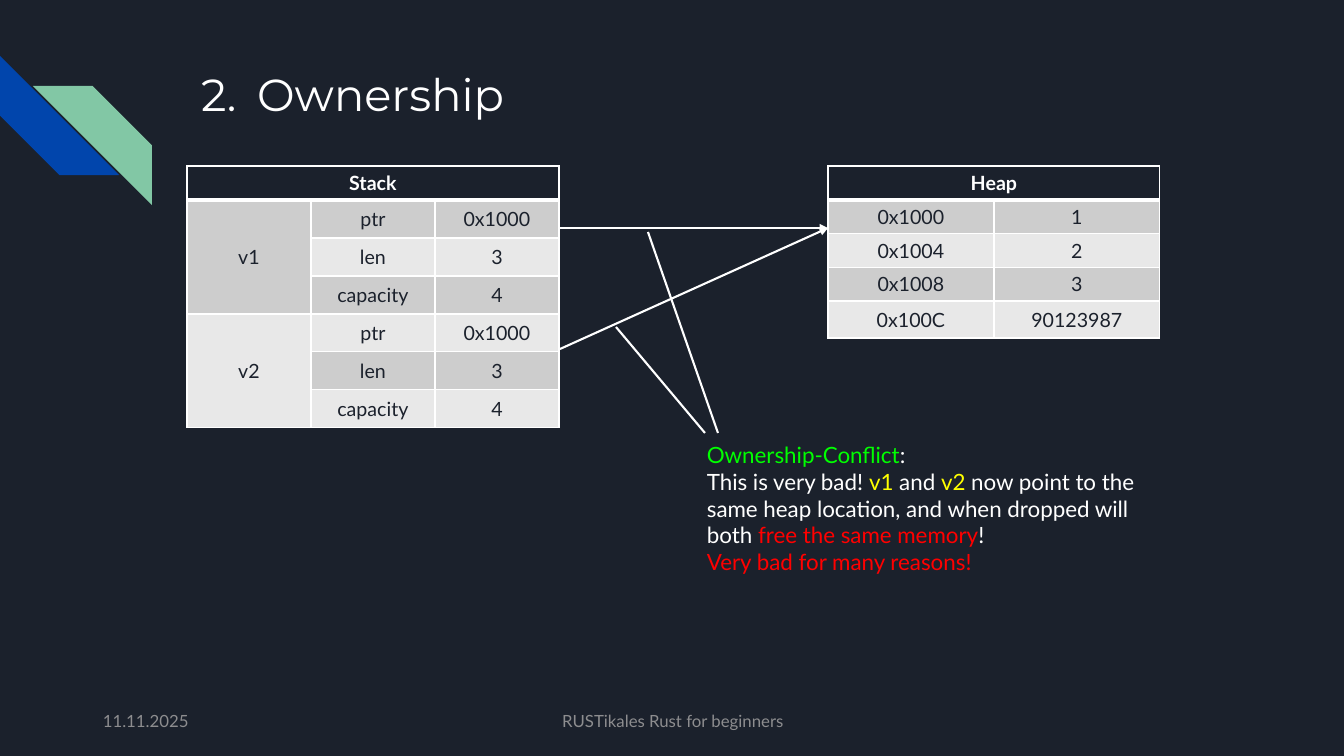
"""Build the Ownership slide with stack and heap tables."""
import pptx
import pptx.util
import pptx.dml.color
import pptx.enum.shapes
import pptx.enum.text
import pptx.oxml
import pptx.oxml.ns

COLORS = {
    "background": "1B212C", "white": "FFFFFF", "blue": "0145AC", "mint": "82C7A5",
    "footer": "8D8D8F", "dark_band": "CDCDCD", "light_band": "E8E8E8",
    "green": "00FF00", "yellow": "FFFF00", "red": "FF0000",
}
STRIPES = [("blue", (0, 56, 119, 119), 270, False), ("mint", (33, 86, 119, 119), 0, True)]
TITLE = "Ownership"
TITLE_BOX = (191, 57, 1034, 134)
FOOTERS = [
    ("11.11.2025", (93, 701, 302, 40), "LEFT"),
    ("RUSTikales Rust for beginners", (446, 701, 454, 40), "CENTER"),
]
FIELDS = [("ptr", "0x1000"), ("len", "3"), ("capacity", "4")]
STACK_ROWS = [
    (name if index == 0 else "", *field)
    for name in ("v1", "v2") for index, field in enumerate(FIELDS)
]
HEAP_ROWS = [("0x1000", "1"), ("0x1004", "2"), ("0x1008", "3"), ("0x100C", "90123987")]
TABLES = [
    {"heading": "Stack", "rows": STACK_ROWS, "left": 187, "column": 124,
     "heights": [34] + [38] * 6, "merges": [(1, 3), (4, 6)]},
    {"heading": "Heap", "rows": HEAP_ROWS, "left": 828, "column": 166,
     "heights": [34, 33, 33, 33, 37], "merges": []},
]
TABLE_TOP = 166
LINES = [
    ((560, 228), (828, 228), True),
    ((560, 349), (828, 228), True),
    ((705, 433), (616, 327), False),
    ((718, 433), (648, 232), False),
]
NOTE_BOX = (697, 436, 461, 146)
NOTE = [
    [("Ownership-Conflict", "green"), (":", "white"), None,
     ("This is very bad! ", "white"), ("v1", "yellow"), (" and ", "white"),
     ("v2", "yellow"),
     (" now point to the same heap location, and when dropped will both ", "white"),
     ("free the same memory", "red"), ("!", "white")],
    [("Very bad for many reasons!", "red")],
]


def px(length):
    return pptx.util.Emu(round(length * 914400 / 100.8))


def place(box):
    return [px(length) for length in box]


def rgb(color):
    return pptx.dml.color.RGBColor.from_string(COLORS[color])


def element(xml):
    return pptx.oxml.parse_xml(xml.replace(">", f" {pptx.oxml.ns.nsdecls('a')}>", 1))


def add_run(paragraph, text, size, color, font="Lato", bold=False):
    run = paragraph.add_run()
    run.text = text
    run.font.size = pptx.util.Pt(size)
    run.font.name = font
    run.font.bold = bold
    run.font.color.rgb = rgb(color)


def add_text_box(slide, box):
    frame = slide.shapes.add_textbox(*place(box)).text_frame
    frame.word_wrap = True
    return frame


def add_stripe(slide, color, box, rotation, flipped):
    shape = slide.shapes.add_shape(
        pptx.enum.shapes.MSO_SHAPE.DIAGONAL_STRIPE, *place(box))
    shape.adjustments[0] = 0.5
    shape.rotation = rotation
    if flipped:
        shape.element.spPr.find(pptx.oxml.ns.qn("a:xfrm")).set("flipH", "1")
    shape.shadow.inherit = False
    shape.fill.solid()
    shape.fill.fore_color.rgb = rgb(color)
    shape.line.fill.background()


def add_title(slide):
    title = slide.shapes.title
    title.left, title.top, title.width, title.height = place(TITLE_BOX)
    frame = title.text_frame
    frame.word_wrap = True
    frame.vertical_anchor = pptx.enum.text.MSO_ANCHOR.TOP
    frame.margin_left = frame.margin_right = pptx.util.Inches(0.1)
    frame.margin_top = frame.margin_bottom = pptx.util.Inches(0.1)
    paragraph = frame.paragraphs[0]
    paragraph.alignment = pptx.enum.text.PP_ALIGN.LEFT
    properties = paragraph._p.get_or_add_pPr()
    properties.set("marL", str(px(56)))
    properties.set("indent", str(-px(56)))
    properties.append(element(f'<a:buClr><a:srgbClr val="{COLORS["white"]}"/></a:buClr>'))
    properties.append(element('<a:buFont typeface="Montserrat"></a:buFont>'))
    properties.append(element('<a:buAutoNum type="arabicPeriod" startAt="2"></a:buAutoNum>'))
    add_run(paragraph, TITLE, 32, "white", "Montserrat")


def set_borders(cell, row):
    for side in "LRTB":
        thick = (row, side) in ((0, "B"), (1, "T"))
        width = pptx.util.Pt(3 if thick else 1)
        cell._tc.get_or_add_tcPr().append(element(
            f'<a:ln{side} w="{width}"><a:solidFill><a:srgbClr val="{COLORS["white"]}"/>'
            f'</a:solidFill></a:ln{side}>'))


def add_memory_table(slide, heading, rows, left, column, heights, merges):
    count = len(rows[0])
    cells = [(heading,) + ("",) * (count - 1), *rows]
    box = (left, TABLE_TOP, column * count, sum(heights))
    table = slide.shapes.add_table(len(cells), count, *place(box)).table
    for table_column in table.columns:
        table_column.width = px(column)
    for row, texts in enumerate(cells):
        table.rows[row].height = px(heights[row])
        for index, text in enumerate(texts):
            cell = table.cell(row, index)
            set_borders(cell, row)
            band = "dark_band" if row % 2 else "light_band"
            cell.fill.solid()
            cell.fill.fore_color.rgb = rgb(band if row else "background")
            cell.vertical_anchor = pptx.enum.text.MSO_ANCHOR.MIDDLE
            paragraph = cell.text_frame.paragraphs[0]
            paragraph.alignment = pptx.enum.text.PP_ALIGN.CENTER
            if text:
                add_run(paragraph, text, 14, "background" if row else "white", bold=row == 0)
    table.cell(0, 0).merge(table.cell(0, count - 1))
    for first, last in merges:
        table.cell(first, 0).merge(table.cell(last, 0))


def add_line(slide, start, end, arrow):
    connector = slide.shapes.add_connector(
        pptx.enum.shapes.MSO_CONNECTOR.STRAIGHT, *place(start + end))
    connector.line.color.rgb = rgb("white")
    connector.line.width = pptx.util.Pt(1.5)
    if arrow:
        connector.line._get_or_add_ln().append(element('<a:tailEnd type="triangle"></a:tailEnd>'))
    connector.element.spPr.append(element("<a:effectLst></a:effectLst>"))


def add_note(slide):
    frame = add_text_box(slide, NOTE_BOX)
    for index, runs in enumerate(NOTE):
        paragraph = frame.add_paragraph() if index else frame.paragraphs[0]
        for run in runs:
            if run is None:
                paragraph.add_line_break()
            else:
                add_run(paragraph, run[0], 16, run[1])


def main():
    presentation = pptx.Presentation()
    presentation.slide_width, presentation.slide_height = px(1344), px(756)
    slide = presentation.slides.add_slide(presentation.slide_layouts[5])
    slide.background.fill.solid()
    slide.background.fill.fore_color.rgb = rgb("background")
    for stripe in STRIPES:
        add_stripe(slide, *stripe)
    add_title(slide)
    for text, box, alignment in FOOTERS:
        frame = add_text_box(slide, box)
        frame.vertical_anchor = pptx.enum.text.MSO_ANCHOR.MIDDLE
        frame.paragraphs[0].alignment = pptx.enum.text.PP_ALIGN[alignment]
        add_run(frame.paragraphs[0], text, 12, "footer")
    for table in TABLES:
        add_memory_table(slide, **table)
    for line in LINES:
        add_line(slide, *line)
    add_note(slide)
    presentation.save("out.pptx")


if __name__ == "__main__":
    main()
